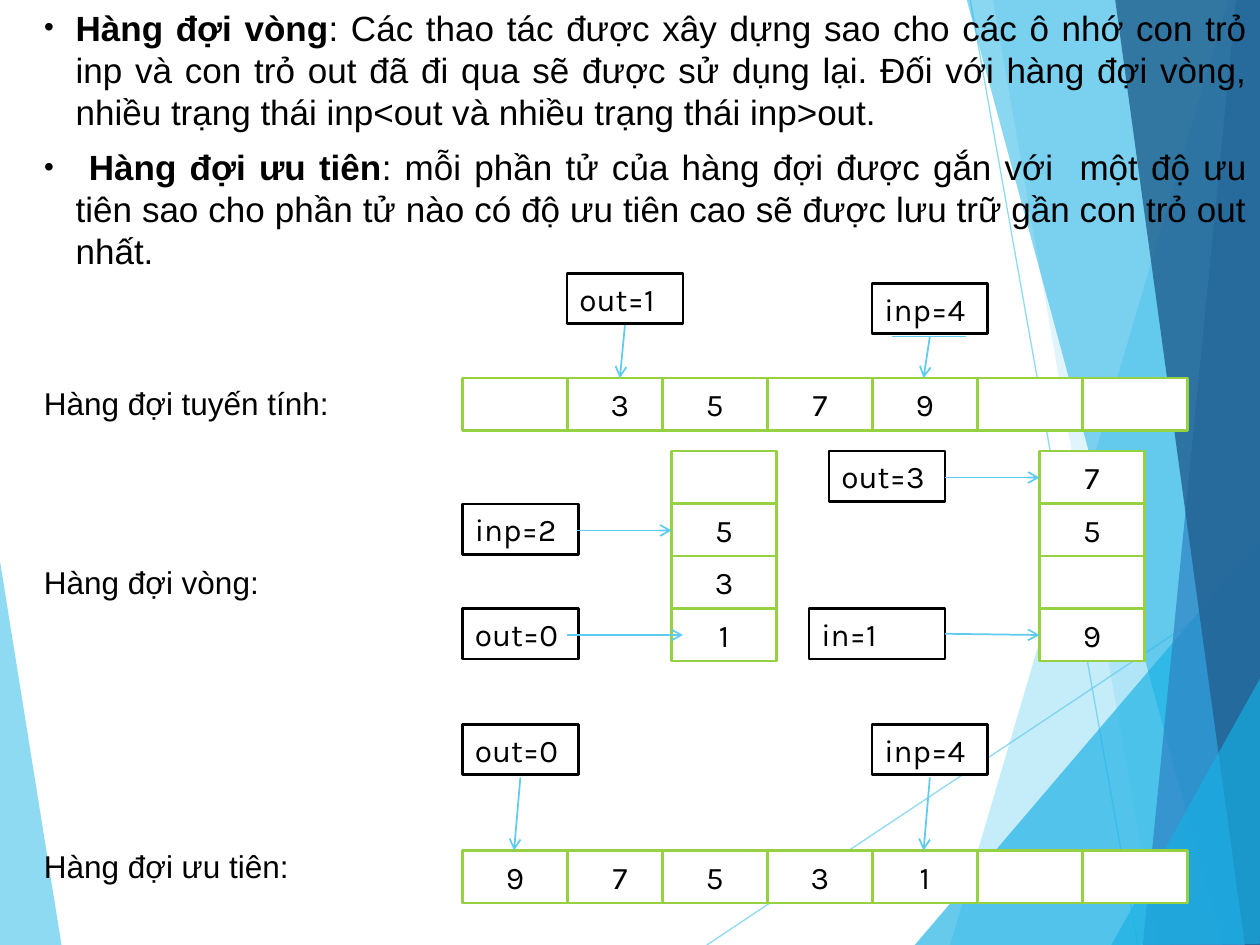
from lxml.etree import SubElement
from pptx import Presentation
from pptx.dml.color import RGBColor
from pptx.enum.shapes import MSO_CONNECTOR, MSO_SHAPE
from pptx.enum.text import MSO_ANCHOR, MSO_AUTO_SIZE, PP_ALIGN
from pptx.oxml.ns import qn
from pptx.util import Inches, Pt

BLACK = RGBColor(0x00, 0x00, 0x00)
WHITE = RGBColor(0xFF, 0xFF, 0xFF)
GREEN = RGBColor(0x96, 0xD1, 0x41)
SKY = RGBColor(0x5F, 0xCB, 0xEF)
CYAN = RGBColor(0x17, 0xB0, 0xE4)
BLUE = RGBColor(0x2E, 0x83, 0xC3)
NAVY = RGBColor(0x23, 0x62, 0x92)
CELL_W, CELL_H = 5 / 6, 5 / 12

prs = Presentation()
prs.slide_width, prs.slide_height = Inches(10), Inches(7.5)
s = prs.slides.add_slide(prs.slide_layouts[1])
s.shapes.title.element.getparent().remove(s.shapes.title.element)


def write(p, text, size=18, font="Arial", bold=False, align=PP_ALIGN.LEFT):
    """Add one formatted black run to a paragraph."""
    p.alignment = align
    r = p.add_run()
    r.text = text
    r.font.size, r.font.name, r.font.bold = Pt(size), font, bold
    r.font.color.rgb = BLACK


def add_line(x1, y1, x2, y2, width=1, alpha=100, arrow=False):
    c = s.shapes.add_connector(MSO_CONNECTOR.STRAIGHT, Inches(x1), Inches(y1), Inches(x2), Inches(y2))
    c.line.color.rgb = SKY
    c.line.width = Pt(width)
    spPr = c.element.spPr
    if alpha < 100:
        SubElement(next(spPr.iter(qn("a:srgbClr"))), qn("a:alpha"), val=str(alpha * 1000))
    if arrow:
        SubElement(spPr.find(qn("a:ln")), qn("a:tailEnd"), type="arrow")
    SubElement(spPr, qn("a:effectLst"))


# Background facets
add_line(5.61, 7.5, 10.01, 4.57, width=0.75, alpha=70)
add_line(7.7, 0, 9.03, 7.5, width=0.75, alpha=70)
facets = [
    (SKY, 70, [(-0.01, 4.39), (0.49, 7.51), (-0.01, 7.5)]),
    (SKY, 36, [(9.75, 0), (7.54, 7.5), (10.02, 7.51), (10.01, 0.01)]),
    (SKY, 20, [(7.88, -0.01), (9.19, 7.5), (10.01, 7.5), (10.01, -0.01)]),
    (CYAN, 66, [(7.26, 7.5), (10, 4.29), (10.01, 7.5)]),
    (CYAN, 50, [(7.67, -0.01), (9.7, 7.5), (10.01, 7.49), (10.01, -0.01)]),
    (BLUE, 70, [(9.81, -0.01), (9.07, 7.5), (10.01, 7.5), (10, -0.01)]),
    (NAVY, 82, [(8.85, -0.01), (9.88, 7.5), (10.02, 7.5), (10, -0.01)]),
    (CYAN, 66, [(8.82, 7.5), (10.02, 5.35), (10.02, 7.49)]),
]
for color, alpha, points in facets:
    start, *rest = [(Inches(x), Inches(y)) for x, y in points]
    fb = s.shapes.build_freeform(*start)
    fb.add_line_segments(rest, close=True)
    facet = fb.convert_to_shape()
    facet.shadow.inherit = False
    facet.fill.solid()
    facet.fill.fore_color.rgb = color
    facet.line.fill.background()
    SubElement(next(facet.element.spPr.iter(qn("a:srgbClr"))), qn("a:alpha"), val=str(alpha * 1000))

# Definitions, brought in front of the facets
body = s.placeholders[1]
body.element.getparent().append(body.element)
body.left, body.top, body.width, body.height = Inches(0), Inches(0), Inches(10), Inches(2.21)
tf = body.text_frame
tf.auto_size = MSO_AUTO_SIZE.NONE
tf.vertical_anchor = MSO_ANCHOR.TOP
definitions = [
    ("Hàng đợi vòng",
     ": Các thao tác được xây dựng sao cho các ô nhớ con trỏ inp và con trỏ out đã đi qua "
     "sẽ được sử dụng lại. Đối với hàng đợi vòng, nhiều trạng thái inp<out và nhiều trạng thái inp>out."),
    (" Hàng đợi ưu tiên",
     ": mỗi phần tử của hàng đợi được gắn với  một độ ưu tiên sao cho phần tử nào có độ ưu tiên cao "
     "sẽ được lưu trữ gần con trỏ out nhất."),
]
for i, (term, meaning) in enumerate(definitions):
    p = tf.add_paragraph() if i else tf.paragraphs[0]
    p.level = 1
    pPr = p._p.get_or_add_pPr()
    pPr.set("marL", str(Inches(0.5)))
    pPr.set("indent", str(Inches(-0.25)))
    SubElement(SubElement(pPr, qn("a:buClr")), qn("a:srgbClr"), val=str(BLACK))
    SubElement(pPr, qn("a:buSzPct"), val="80000")
    SubElement(pPr, qn("a:buFont"), typeface="Arial")
    SubElement(pPr, qn("a:buChar"), char="•")
    p.space_before = Pt(7.5 if i else 0)
    write(p, term, size=20, bold=True, align=PP_ALIGN.JUSTIFY)
    write(p, meaning, size=20, align=PP_ALIGN.JUSTIFY)

# Queue cells: (left, top, value); from the third on, row cells shift left a little
cells = []
for top, values in [(3, ["", "3", "5", "7", "9", "", ""]), (6.75, ["9", "7", "5", "3", "1", "", ""])]:
    for i, value in enumerate(values):
        cells.append((3.67 + i * CELL_W - (0.08 if i > 1 else 0), top, value))
for left, values in [(5.33, ["", "5", "3", "1"]), (8.25, ["7", "5", "", "9"])]:
    for i, value in enumerate(values):
        cells.append((left, 3.58 + i * CELL_H, value))

# Pointer boxes: (left, top, width, text)
pointers = [
    (4.5, 2.17, 0.92, "out=1"), (6.92, 2.25, 0.92, "inp=4"),
    (3.67, 4, 0.92, "inp=2"), (3.67, 4.83, 0.92, "out=0"),
    (6.58, 3.58, 0.92, "out=3"), (6.42, 4.83, 1.08, "in=1"),
    (3.67, 5.75, 0.92, "out=0"), (6.92, 5.75, 0.92, "inp=4"),
]
boxes = [(x, y, CELL_W, CELL_H, text, GREEN, PP_ALIGN.CENTER) for x, y, text in cells]
boxes += [(x, y, w, 0.4, text, BLACK, PP_ALIGN.LEFT) for x, y, w, text in pointers]
for x, y, w, h, text, color, align in boxes:
    box = s.shapes.add_shape(MSO_SHAPE.RECTANGLE, Inches(x), Inches(y), Inches(w), Inches(h))
    box.shadow.inherit = False
    box.fill.solid()
    box.fill.fore_color.rgb = WHITE
    box.line.color.rgb = color
    box.line.width = Pt(1.5)
    if text:
        box.text_frame.vertical_anchor = MSO_ANCHOR.MIDDLE if color == GREEN else MSO_ANCHOR.TOP
        write(box.text_frame.paragraphs[0], text, font="Karla", align=align)

# Arrows from pointers to cells
add_line(7.08, 2.67, 7.67, 2.67)
arrows = [
    (4.96, 2.58, 4.92, 3), (7.38, 2.67, 7.33, 3),
    (4.58, 4.21, 5.33, 4.21), (4.5, 5.04, 5.42, 5.04),
    (7.5, 3.79, 8.25, 3.79), (7.5, 5.03, 8.25, 5.04),
    (4.13, 6.17, 4.08, 6.75), (7.38, 6.17, 7.33, 6.75),
]
for ends in arrows:
    add_line(*ends, arrow=True)

# Queue names
for top, name in [(3, "Hàng đợi tuyến tính:"), (4.42, "Hàng đợi vòng:"), (6.67, "Hàng đợi ưu tiên:")]:
    tb = s.shapes.add_textbox(Inches(0.25), Inches(top), Inches(3), Inches(0.4))
    tb.text_frame.word_wrap = True
    write(tb.text_frame.paragraphs[0], name)

prs.save("out.pptx")
